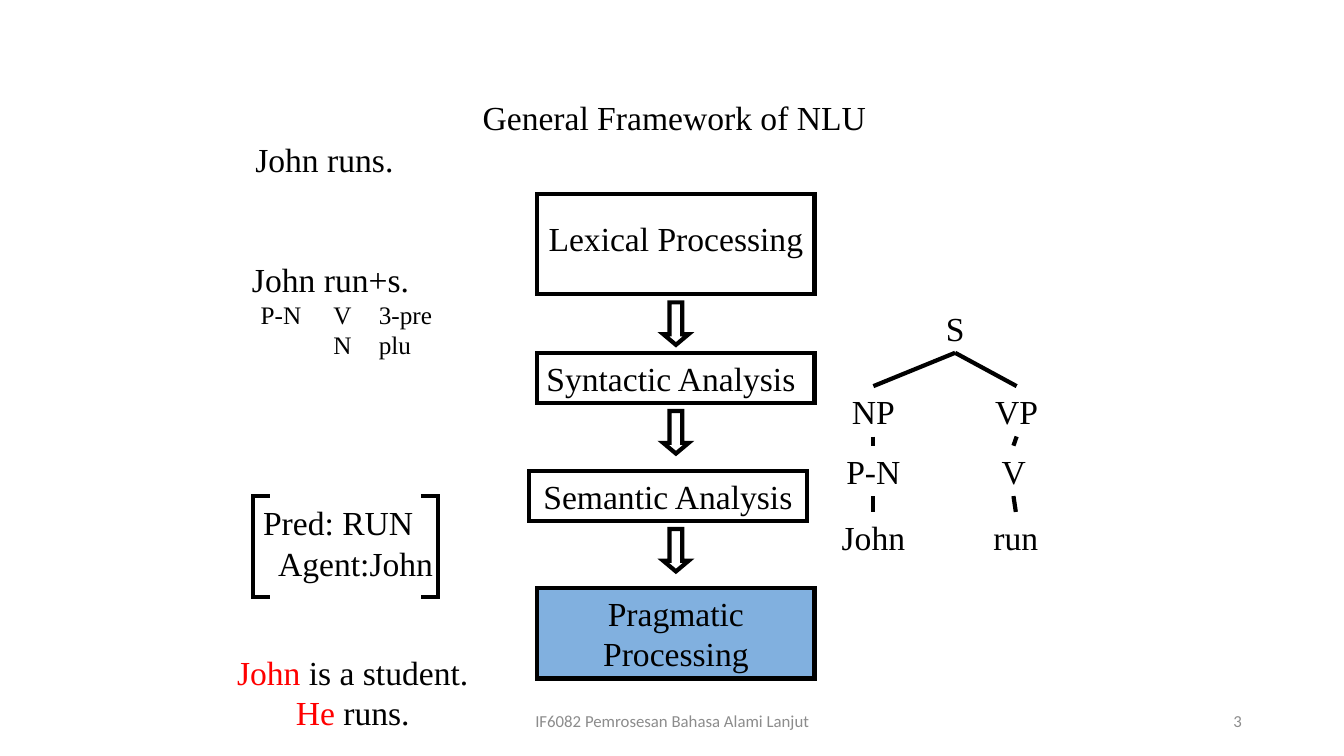
from dataclasses import dataclass

from lxml import etree
from pptx import Presentation
from pptx.dml.color import RGBColor
from pptx.enum.shapes import MSO_CONNECTOR, MSO_SHAPE
from pptx.enum.text import MSO_ANCHOR, PP_ALIGN
from pptx.oxml.ns import qn
from pptx.util import Cm, Pt

RECTANGLE, DOWN_ARROW = MSO_SHAPE.RECTANGLE, MSO_SHAPE.DOWN_ARROW
LEFT_BRACKET, RIGHT_BRACKET = MSO_SHAPE.LEFT_BRACKET, MSO_SHAPE.RIGHT_BRACKET
STRAIGHT = MSO_CONNECTOR.STRAIGHT
MIDDLE = MSO_ANCHOR.MIDDLE
LEFT, CENTER, RIGHT = PP_ALIGN.LEFT, PP_ALIGN.CENTER, PP_ALIGN.RIGHT
TOP_SITE, BOTTOM_SITE = 0, 2


@dataclass(frozen=True)
class Theme:
    font: str = "Times New Roman"
    footer_font: str = "Calibri"
    ink: RGBColor = RGBColor(0, 0, 0)
    accent: RGBColor = RGBColor(0xFF, 0, 0)
    highlight: RGBColor = RGBColor(0x05, 0x63, 0xC1)
    muted: RGBColor = RGBColor(0x8C, 0x8C, 0x8C)
    text_size: Pt = Pt(24)
    small_size: Pt = Pt(18)
    footer_size: Pt = Pt(12)
    line_width: Pt = Pt(3)


@dataclass(frozen=True)
class Box:
    """A region of the slide, in centimetres."""
    left: float
    top: float
    width: float
    height: float

    def lengths(self):
        return Cm(self.left), Cm(self.top), Cm(self.width), Cm(self.height)

    def inner(self, x, y, width, height):
        return Box(self.left + x, self.top + y, width, height)


THEME = Theme()


# Shared helpers
def format_runs(paragraph, size=THEME.text_size, color=THEME.ink, font=THEME.font):
    for run in paragraph.runs:
        run.font.name, run.font.size = font, size
        run.font.color.rgb = color


def set_text(shape, text, align=CENTER, wrap=False, **style):
    frame = shape.text_frame
    frame.text = text
    frame.word_wrap = wrap
    frame.vertical_anchor = MIDDLE
    for paragraph in frame.paragraphs:
        paragraph.alignment = align
        format_runs(paragraph, **style)
    return frame


def add_text(slide, box, text, **options):
    shape = slide.shapes.add_textbox(*box.lengths())
    set_text(shape, text, **options)
    return shape


def set_line(shape):
    shape.line.color.rgb = THEME.ink
    shape.line.width = THEME.line_width
    outline = shape._element.spPr.find(qn("a:ln"))
    etree.SubElement(outline, qn("a:miter")).set("lim", "800000")


def add_outline(slide, preset, box):
    shape = slide.shapes.add_shape(preset, *box.lengths())
    shape.shadow.inherit = False
    shape.fill.background()
    set_line(shape)
    return shape


def join(slide, parent, child):
    connector = slide.shapes.add_connector(STRAIGHT, 0, 0, 0, 0)
    connector.begin_connect(parent, BOTTOM_SITE)
    connector.end_connect(child, TOP_SITE)
    set_line(connector)
    etree.SubElement(connector._element.spPr, qn("a:effectLst"))


# Title
def add_title(slide, box):
    title = slide.shapes.title
    title.left, title.top, title.width, title.height = box.lengths()
    set_text(title, "General Framework of NLU")


# Column of processing stages
def add_stages(slide, box):
    # label, x, y, height, right inset, bottom inset
    stages = [
        ("Lexical Processing", 0, 0, 2.54, 0, 0.3),
        ("Syntactic Analysis", 0, 4.01, 1.27, 0.25, 0),
        ("Semantic Analysis", -0.2, 6.98, 1.27, 0, 0),
        ("Pragmatic\nProcessing", 0, 9.93, 2.29, 0, 0),
    ]
    arrow_width, arrow_height, gap = 0.64, 1.07, 0.2
    for index, (label, x, y, height, right, bottom) in enumerate(stages):
        stage = add_outline(slide, RECTANGLE, box.inner(x, y, box.width, height))
        frame = set_text(stage, label)
        frame.margin_left = frame.margin_top = 0
        frame.margin_right, frame.margin_bottom = Cm(right), Cm(bottom)
        if index < len(stages) - 1:
            arrow_box = box.inner((box.width - arrow_width) / 2, y + height + gap,
                                  arrow_width, arrow_height)
            arrow = add_outline(slide, DOWN_ARROW, arrow_box)
            arrow.adjustments[0], arrow.adjustments[1] = 0.5, 0.42

    # The last stage has a half-transparent fill
    stage.fill.solid()
    stage.fill.fore_color.rgb = THEME.highlight
    color = stage._element.spPr.find(qn("a:solidFill"))[0]
    etree.SubElement(color, qn("a:alpha")).set("val", "50000")


# Sentence and its morphemes
def add_morphemes(slide, box):
    add_text(slide, box.inner(0.08, 0, 3.99, 1.27), "John runs.")
    morphemes = add_text(slide, box.inner(0, 2.87, box.width, 3.07),
                         "John run+s.\n\tP-N\tV\t3-pre\n\t\tN\tplu", align=LEFT)
    for paragraph in morphemes.text_frame.paragraphs[1:]:
        format_runs(paragraph, size=THEME.small_size)
        tab_list = etree.SubElement(paragraph._p.get_or_add_pPr(), qn("a:tabLst"))
        for position in (0.22, 2.05, 3.2):
            tab = etree.SubElement(tab_list, qn("a:tab"))
            tab.set("pos", str(Cm(position)))
            tab.set("algn", "l")


# Syntax tree
def add_syntax_tree(slide, box):
    # name: label, centre x, row top, width
    nodes = {
        "sentence": ("S", 3.11, 0, 1),
        "noun phrase": ("NP", 1.05, 2.11, 1.6),
        "verb phrase": ("VP", 4.66, 2.11, 1.6),
        "proper noun": ("P-N", 1.05, 3.61, 1.9),
        "verb": ("V", 4.58, 3.61, 1.1),
        "subject": ("John", 1.05, 5.28, 2.1),
        "predicate": ("run", 4.64, 5.28, 1.65),
    }
    branches = [
        ("sentence", "noun phrase"), ("sentence", "verb phrase"),
        ("noun phrase", "proper noun"), ("verb phrase", "verb"),
        ("proper noun", "subject"), ("verb", "predicate"),
    ]
    shapes = {name: add_text(slide, box.inner(x - width / 2, y, width, 1.27), label)
              for name, (label, x, y, width) in nodes.items()}
    for parent, child in branches:
        join(slide, shapes[parent], shapes[child])


# Bracketed predicate structure
def add_predicate(slide, box):
    text = add_text(slide, box.inner(0, 0.02, 4.83, 2.31),
                    "Pred: RUN\nAgent:John", align=LEFT)
    agent = text.text_frame.paragraphs[1]
    agent._p.get_or_add_pPr().set("marL", str(Cm(0.38)))
    tick = 0.42
    for preset, x in ((LEFT_BRACKET, 0), (RIGHT_BRACKET, box.width - tick)):
        bracket = add_outline(slide, preset, box.inner(x, 0, tick, box.height))
        bracket.adjustments[0] = 0


# Example of a pronoun and what it refers to
def add_reference(slide, box):
    shape = add_text(slide, box, "John\nHe")
    endings = (" is a student.", " runs.")
    for paragraph, ending in zip(shape.text_frame.paragraphs, endings):
        paragraph.add_run().text = ending
        format_runs(paragraph)
        paragraph.runs[0].font.color.rgb = THEME.accent


# Footer and slide number
def add_footer(slide, box):
    style = dict(size=THEME.footer_size, color=THEME.muted,
                 font=THEME.footer_font, wrap=True)
    add_text(slide, box.inner(0, 0, 11.43, box.height),
             "IF6082 Pemrosesan Bahasa Alami Lanjut", **style)
    add_text(slide, box.inner(box.width - 7.62, 0, 7.62, box.height), "3",
             align=RIGHT, **style)


def main():
    presentation = Presentation()
    presentation.slide_width, presentation.slide_height = Cm(33.87), Cm(19.05)
    slide = presentation.slides.add_slide(presentation.slide_layouts[5])
    add_title(slide, Box(11.89, 2.31, 10.21, 1.27))
    add_stages(slide, Box(13.54, 4.88, 6.99, 12.22))
    add_morphemes(slide, Box(6.1, 3.38, 5.16, 5.94))
    add_syntax_tree(slide, Box(20.96, 7.62, 5.5, 6.55))
    add_predicate(slide, Box(6.38, 12.5, 4.65, 2.54))
    add_reference(slide, Box(5.69, 16.28, 6.4, 2.31))
    add_footer(slide, Box(11.23, 17.65, 20.32, 1.02))
    presentation.save("out.pptx")


if __name__ == "__main__":
    main()
